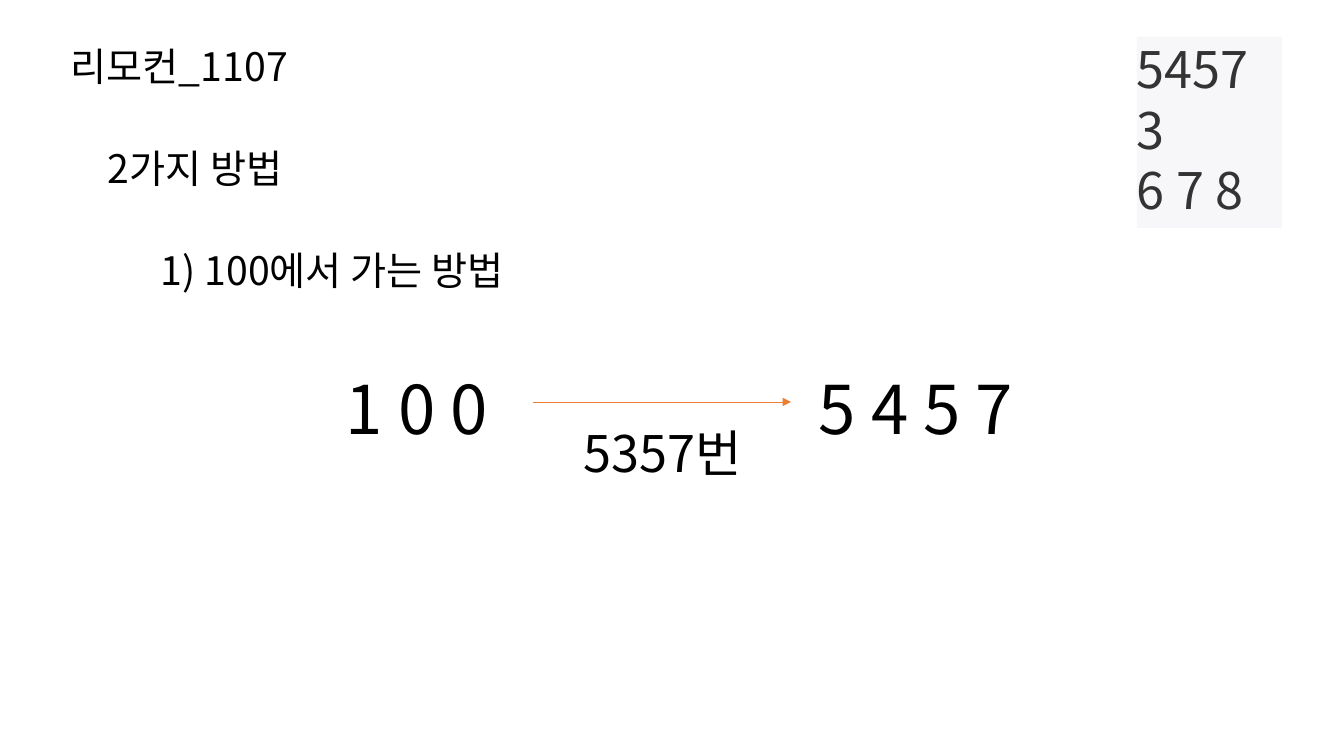
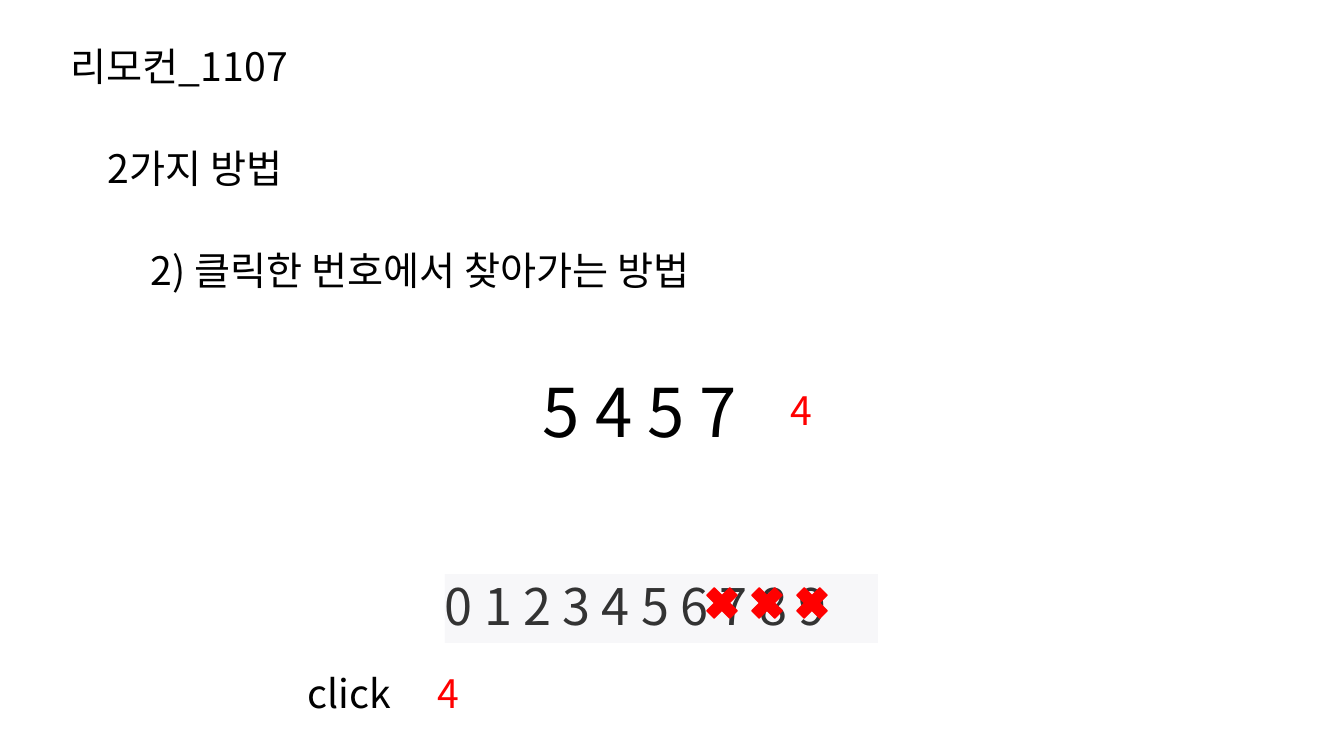
from lxml.etree import SubElement
from pptx import Presentation
from pptx.dml.color import RGBColor
from pptx.enum.shapes import MSO_CONNECTOR, MSO_SHAPE
from pptx.enum.text import MSO_ANCHOR, PP_ALIGN
from pptx.oxml.ns import qn
from pptx.util import Emu, Pt

SCALE = 914400 / 100.8
FONT = "Noto Sans CJK KR"
BLACK = RGBColor(0x00, 0x00, 0x00)
DARK_GRAY = RGBColor(0x33, 0x33, 0x33)
PALE_GRAY = RGBColor(0xF7, 0xF7, 0xF9)
ORANGE = RGBColor(0xED, 0x7D, 0x31)
RED = RGBColor(0xFF, 0x00, 0x00)
BODY, LABEL, DIGITS = 28, 36, 48
BODY_HEIGHT, LABEL_HEIGHT, DIGITS_HEIGHT = 57, 72, 92
HEADING_WIDTH, DIGITS_WIDTH, MARK_WIDTH = 767, 261, 52
HEADING_TOP, HEADING_STEP = 37, 102


def emu(*pixels):
    """Turn pixel lengths into EMU."""
    return [Emu(round(pixel * SCALE)) for pixel in pixels]


def style_paragraph(paragraph, text, size, color, align=PP_ALIGN.LEFT):
    """Fill a paragraph and set its font for Latin and Korean text."""
    paragraph.text = text
    paragraph.alignment = align
    font = paragraph.font
    font.size = Pt(size)
    font.color.rgb = color
    font.name = FONT
    properties = paragraph._p.pPr.find(qn("a:defRPr"))
    SubElement(properties, qn("a:ea")).set("typeface", FONT)


def add_text(slide, box, text, size=BODY, color=BLACK, align=PP_ALIGN.LEFT):
    """Place one line of text in the box."""
    frame = slide.shapes.add_textbox(*emu(*box)).text_frame
    frame.word_wrap = True
    style_paragraph(frame.paragraphs[0], text, size, color, align)


def add_headings(slide, method, method_left):
    """Place the title, the subtitle and the name of the method."""
    headings = [(61, "리모컨_1107"), (98, "2가지 방법"), (method_left, method)]
    for row, (left, text) in enumerate(headings):
        top = HEADING_TOP + row * HEADING_STEP
        add_text(slide, (left, top, HEADING_WIDTH, BODY_HEIGHT), text)


def add_plain_shape(slide, kind, box, fill):
    """Place a filled preset shape without line or shadow."""
    shape = slide.shapes.add_shape(kind, *emu(*box))
    shape.shadow.inherit = False
    shape.fill.solid()
    shape.fill.fore_color.rgb = fill
    shape.line.fill.background()
    return shape


def add_panel(slide, box, lines):
    """Place a pale panel with lines of sample data."""
    panel = add_plain_shape(slide, MSO_SHAPE.RECTANGLE, box, PALE_GRAY)
    frame = panel.text_frame
    frame.word_wrap = True
    frame.vertical_anchor = MSO_ANCHOR.MIDDLE
    frame.margin_left = frame.margin_top = frame.margin_right = 0
    frame.margin_bottom = emu(7)[0]
    for row, line in enumerate(lines):
        paragraph = frame.add_paragraph() if row else frame.paragraphs[0]
        style_paragraph(paragraph, line, LABEL, DARK_GRAY)


def add_arrow(slide, left, right, y):
    """Draw a thin horizontal arrow to the right."""
    arrow = slide.shapes.add_connector(
        MSO_CONNECTOR.STRAIGHT, *emu(left, y, right, y))
    arrow.line.color.rgb = ORANGE
    arrow.line.width = Pt(0.5)
    SubElement(arrow.line._get_or_add_ln(), qn("a:tailEnd")).set("type", "triangle")
    SubElement(arrow._element.spPr, qn("a:effectLst"))


def add_crosses(slide, left, top, size, step, count):
    """Cross out a row of broken buttons."""
    for index in range(count):
        cross = add_plain_shape(slide, MSO_SHAPE.MATH_MULTIPLY,
                                (left + index * step, top, size, size), RED)
        cross.line.color.rgb = RED
        cross.line.width = Pt(1)


def build_step_slide(slide):
    """Show the way that steps from channel 100."""
    add_headings(slide, "1) 100에서 가는 방법", 151)
    add_text(slide, (809, 362, DIGITS_WIDTH, DIGITS_HEIGHT), "5 4 5 7", DIGITS)
    add_text(slide, (336, 362, DIGITS_WIDTH, DIGITS_HEIGHT), "1 0 0", DIGITS)
    add_arrow(slide, 533, 791, 402)
    add_text(slide, (532, 417, DIGITS_WIDTH, LABEL_HEIGHT), "5357번", LABEL,
             align=PP_ALIGN.CENTER)
    add_panel(slide, (1137, 37, 145, 191), ["5457", "3", "6 7 8"])


def build_click_slide(slide):
    """Show the way that starts from a clicked number."""
    add_headings(slide, "2) 클릭한 번호에서 찾아가는 방법", 141)
    add_text(slide, (533, 365, DIGITS_WIDTH, DIGITS_HEIGHT), "5 4 5 7", DIGITS)
    add_panel(slide, (445, 574, 433, 69), ["0 1 2 3 4 5 6 7 8 9"])
    add_crosses(slide, 700, 581, 44, 45, 3)
    add_text(slide, (298, 664, HEADING_WIDTH, BODY_HEIGHT), "click")
    for left, top in [(781, 381), (428, 664)]:
        add_text(slide, (left, top, MARK_WIDTH, BODY_HEIGHT), "4", color=RED)


def main():
    """Build and save the presentation."""
    presentation = Presentation()
    presentation.slide_width, presentation.slide_height = emu(1344, 756)
    blank_layout = presentation.slide_layouts[6]
    for build_slide in (build_step_slide, build_click_slide):
        build_slide(presentation.slides.add_slide(blank_layout))
    presentation.save("out.pptx")


main()
